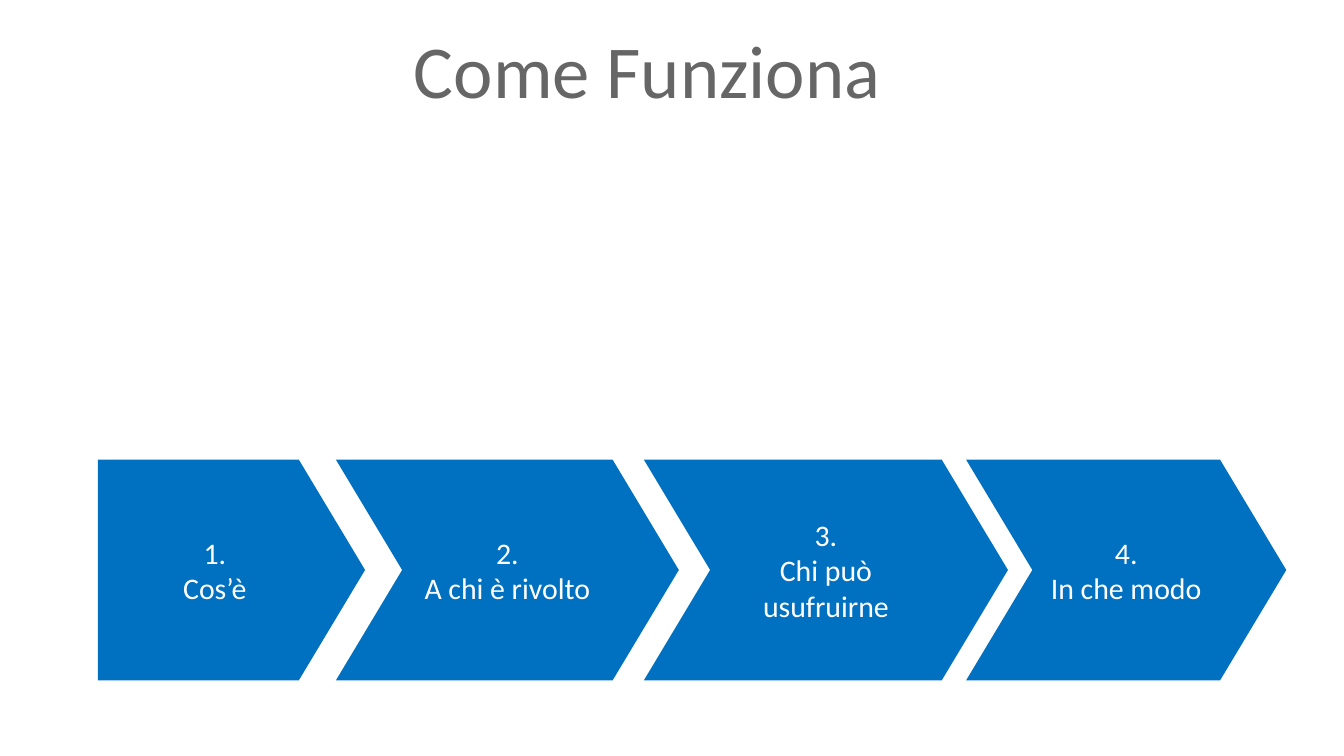
from pptx import Presentation
from pptx.dml.color import RGBColor
from pptx.enum import shapes, text
from pptx.util import Cm, Pt

BLUE = RGBColor(0x00, 0x70, 0xC0)
GRAY = RGBColor(0x66, 0x66, 0x66)
WHITE = RGBColor(0xFF, 0xFF, 0xFF)

STEP_TOP, STEP_HEIGHT = Cm(8.69), Cm(4.17)
POINT_DEPTH = 0.3
STEPS = [
    ("Cos’è", 1.85, 5.05),
    ("A chi è rivolto", 6.35, 6.48),
    ("Chi può usufruirne", 12.17, 6.88),
    ("In che modo", 18.26, 6.05),
]


def write_lines(frame, lines, size, color, anchor):
    frame.word_wrap = True
    frame.vertical_anchor = anchor
    frame.margin_left = frame.margin_right = Cm(0.25)
    frame.margin_top = frame.margin_bottom = Cm(0.25)
    frame.text = "\n".join(lines)
    for paragraph in frame.paragraphs:
        paragraph.alignment = text.PP_ALIGN.CENTER
        paragraph.font.name = "Calibri"
        paragraph.font.size = Pt(size)
        paragraph.font.color.rgb = color


def add_title(slide, wording):
    title = slide.shapes.add_textbox(Cm(4.57), Cm(0), Cm(15.32), Cm(2.39))
    write_lines(title.text_frame, [wording], 40, GRAY, text.MSO_ANCHOR.BOTTOM)


def add_step(slide, number, label, left, width):
    outline = shapes.MSO_SHAPE.PENTAGON if number == 1 else shapes.MSO_SHAPE.CHEVRON
    step = slide.shapes.add_shape(outline, Cm(left), STEP_TOP, Cm(width), STEP_HEIGHT)
    step.adjustments[0] = POINT_DEPTH
    step.shadow.inherit = False
    step.fill.solid()
    step.fill.fore_color.rgb = BLUE
    step.line.fill.background()
    write_lines(step.text_frame, [f"{number}.", label], 16, WHITE, text.MSO_ANCHOR.MIDDLE)


def main():
    deck = Presentation()
    deck.slide_width, deck.slide_height = Cm(25.4), Cm(14.29)
    slide = deck.slides.add_slide(deck.slide_layouts[6])
    add_title(slide, "Come Funziona")
    for number, (label, left, width) in enumerate(STEPS, start=1):
        add_step(slide, number, label, left, width)
    deck.save("out.pptx")


if __name__ == "__main__":
    main()
